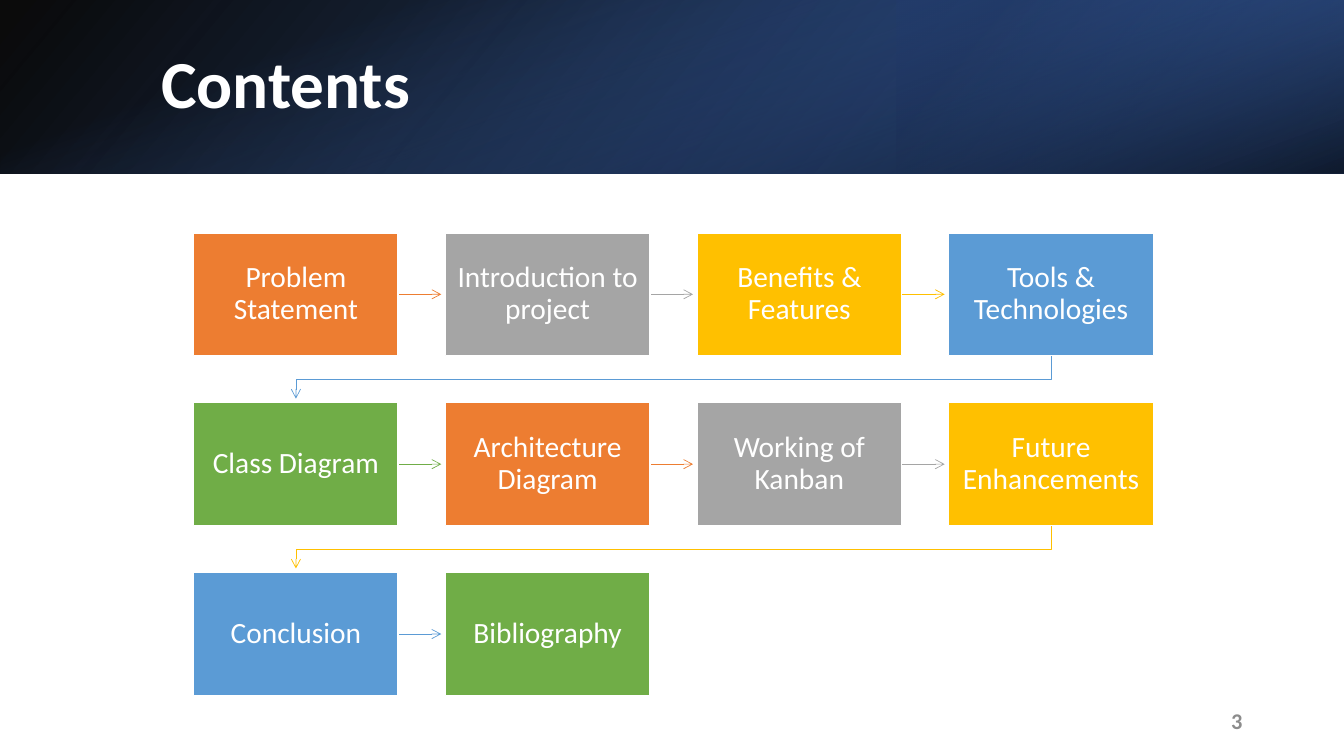
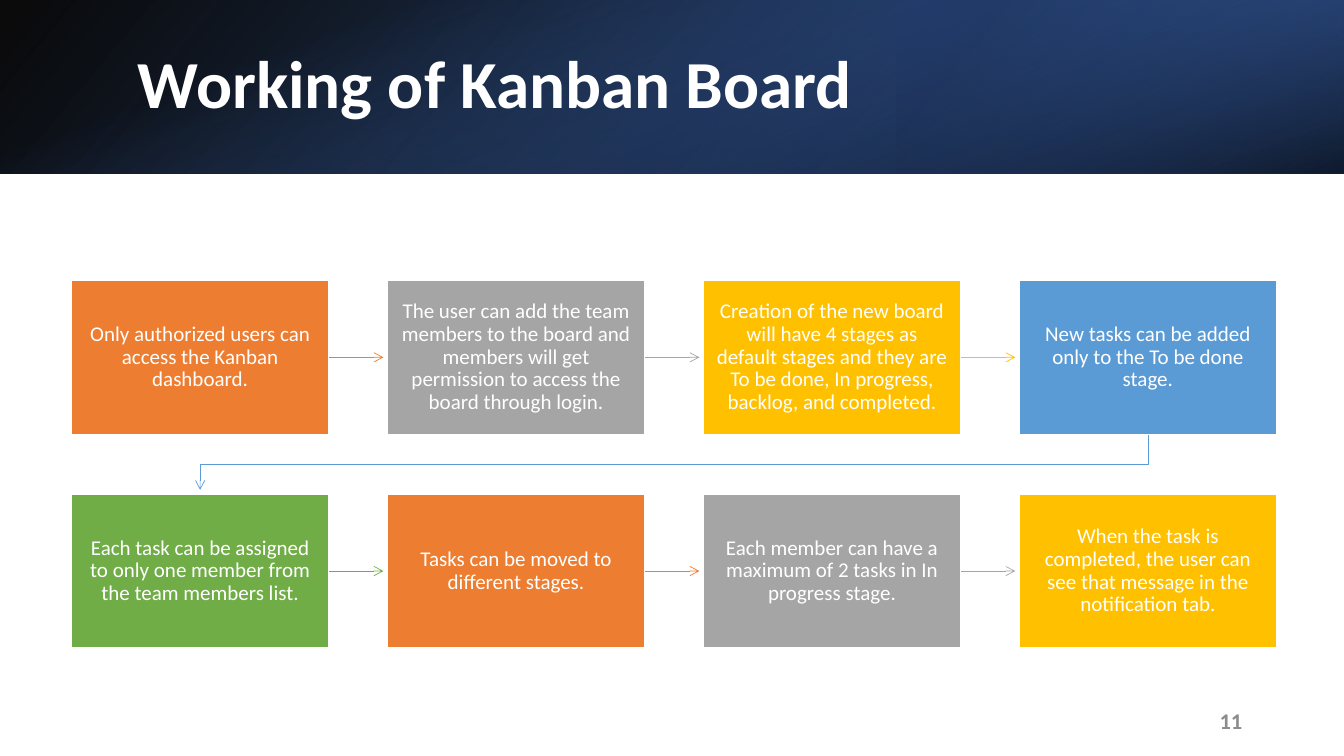
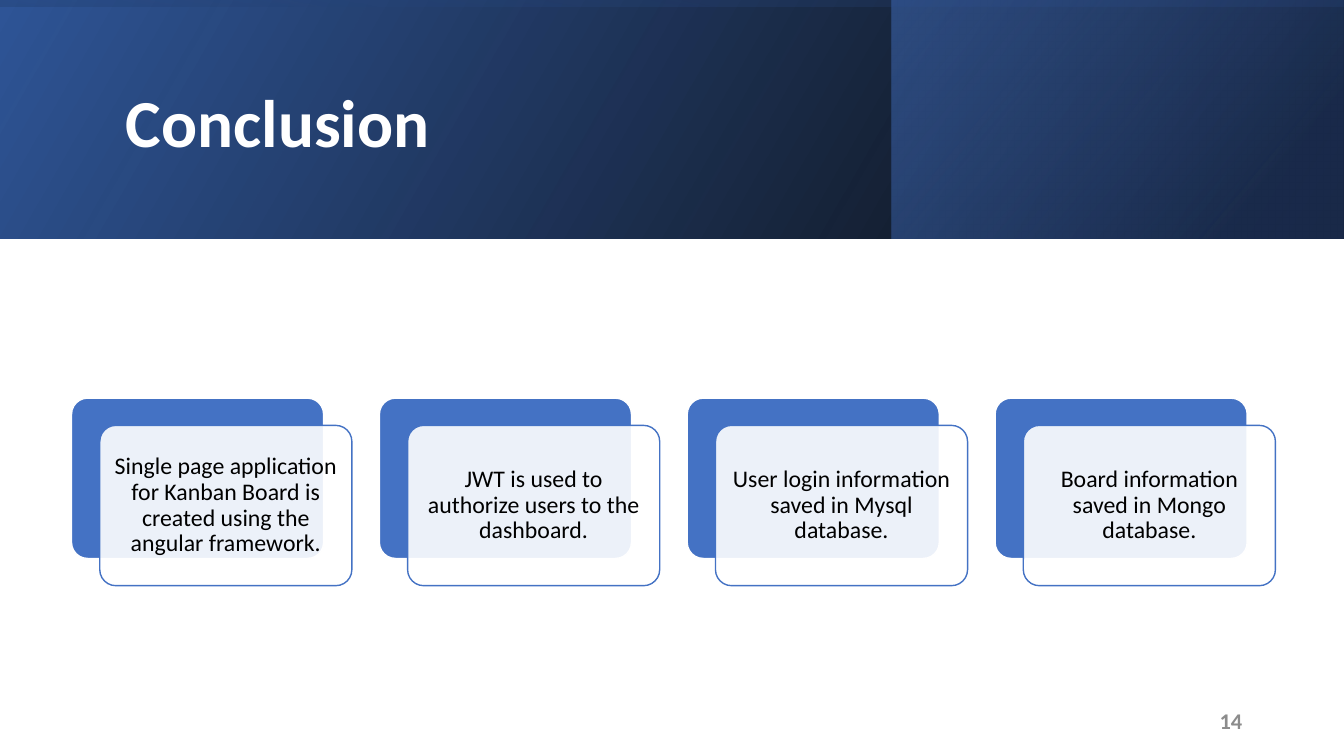
import lxml.etree
import pptx
import pptx.dml.color
import pptx.enum.shapes
import pptx.enum.text
import pptx.oxml.ns
import pptx.util

Inches = pptx.util.Inches
Shapes = pptx.enum.shapes.MSO_SHAPE
Align = pptx.enum.text.PP_ALIGN
qn = pptx.oxml.ns.qn

FONT = "Calibri"
WHITE, BLACK, GRAY = "FFFFFF", "000000", "8C8C8C"
NAVY, DEEP_BLUE, BLUE = "203864", "2F5597", "4472C4"
FLOW_COLORS = ["ED7D31", "A5A5A5", "FFC000", "5B9BD5", "70AD47"]

CONTENTS = [
    "Problem Statement", "Introduction to project", "Benefits & Features",
    "Tools & Technologies", "Class Diagram", "Architecture Diagram",
    "Working of Kanban", "Future Enhancements", "Conclusion", "Bibliography",
]
WORKING_STEPS = [
    "Only authorized users can access the Kanban dashboard.",
    "The user can add the team members to the board and members will get "
    "permission to access the board through login.",
    "Creation of the new board will have 4 stages as default stages and they "
    "are To be done, In progress, backlog, and completed.",
    "New tasks can be added only to the To be done stage.",
    "Each task can be assigned to only one member from the team members list.",
    "Tasks can be moved to different stages.",
    "Each member can have a maximum of 2 tasks in In progress stage.",
    "When the task is completed, the user can see that message in the "
    "notification tab.",
]
CONCLUSIONS = [
    "Single page application for Kanban Board is created using the angular "
    "framework.",
    "JWT is used to authorize users to the dashboard.",
    "User login information saved in Mysql database.",
    "Board information saved in Mongo database.",
]


def rgb(color):
    return pptx.dml.color.RGBColor.from_string(color)


def set_alpha(shape, opacities):
    """Set the opacity, in percent, of each colour in the fill, in order."""
    colors = shape.element.spPr.iter(qn("a:srgbClr"))
    for color, opacity in zip(colors, opacities):
        alpha = lxml.etree.SubElement(color, qn("a:alpha"))
        alpha.set("val", str(opacity * 1000))


def write(shape, text, size, color, align=Align.LEFT, bold=False,
          margins=(0.1, 0.05), line_spacing=0.9):
    frame = shape.text_frame
    frame.word_wrap = True
    frame.vertical_anchor = pptx.enum.text.MSO_ANCHOR.MIDDLE
    frame.margin_left = frame.margin_right = Inches(margins[0])
    frame.margin_top = frame.margin_bottom = Inches(margins[1])
    paragraph = frame.paragraphs[0]
    paragraph.text = text
    paragraph.alignment = align
    paragraph.line_spacing = line_spacing
    font = paragraph.font
    font.name, font.size, font.bold = FONT, pptx.util.Pt(size), bold
    font.color.rgb = rgb(color)


def add_box(slide, kind, left, top, width, height, fill, line):
    shape = slide.shapes.add_shape(
        kind, Inches(left), Inches(top), Inches(width), Inches(height))
    shape.shadow.inherit = False
    shape.fill.solid()
    shape.fill.fore_color.rgb = rgb(fill)
    shape.line.color.rgb = rgb(line)
    shape.line.width = pptx.util.Pt(1)
    return shape


def add_gradient(slide, box, stops, angle, rotation=0, flip=False):
    """Stops are (percent, colour, opacity); the angle runs clockwise."""
    left, top, width, height = box
    if rotation in (90, 270):
        left, top = left + (width - height) / 2, top + (height - width) / 2
        width, height = height, width
    shape = slide.shapes.add_shape(
        Shapes.RECTANGLE, Inches(left), Inches(top), Inches(width), Inches(height))
    shape.shadow.inherit = False
    shape.line.fill.background()
    shape.rotation = rotation
    if flip:
        shape.element.spPr.find(qn("a:xfrm")).set("flipH", "1")
    shape.fill.gradient()
    shape.fill.gradient_angle = 360 - angle
    for stop, (position, color, _) in zip(shape.fill.gradient_stops, stops):
        stop.color.rgb = rgb(color)
        stop.position = position / 100
    set_alpha(shape, [opacity for _, _, opacity in stops])


def add_band(slide):
    band = (0, 0, 13.33, 1.72)
    add_gradient(slide, band, [(0, BLACK, 96), (100, DEEP_BLUE, 100)], 140, flip=True)
    add_gradient(slide, (8.89, 0, 4.44, 1.72), [(19, NAVY, 68), (100, BLUE, 79)],
                 320, rotation=180, flip=True)
    add_gradient(slide, band, [(23, BLUE, 0), (99, BLACK, 74)], 340, rotation=90)


def add_tall_band(slide):
    band = (0, 0, 13.33, 2.37)
    add_gradient(slide, band, [(0, BLACK, 96), (100, DEEP_BLUE, 100)], 330, flip=True)
    add_gradient(slide, (8.84, 0, 4.48, 2.37), [(19, NAVY, 68), (100, BLUE, 48)],
                 320, flip=True)
    add_gradient(slide, band, [(23, DEEP_BLUE, 16), (99, BLACK, 45)], 350,
                 rotation=270, flip=True)


def add_text(slide, left, top, width, height, text, size, color, **style):
    box = slide.shapes.add_textbox(
        Inches(left), Inches(top), Inches(width), Inches(height))
    write(box, text, size, color, bold=True, **style)


def add_slide(presentation, draw_band, title, title_left, title_top, number):
    slide = presentation.slides.add_slide(presentation.slide_layouts[6])
    draw_band(slide)
    add_text(slide, title_left, title_top, 10.98, 0.96, title, 48, WHITE)
    add_text(slide, 9.42, 6.95, 3, 0.4, number, 16, GRAY,
             align=Align.RIGHT, line_spacing=1)
    return slide


def add_arrow(slide, points, color):
    """Draw a straight arrow through two points, or a bent one through more."""
    points = [(Inches(x), Inches(y)) for x, y in points]
    if len(points) == 2:
        arrow = slide.shapes.add_connector(
            pptx.enum.shapes.MSO_CONNECTOR.STRAIGHT, *points[0], *points[1])
        lxml.etree.SubElement(arrow.element.spPr, qn("a:effectLst"))
    else:
        builder = slide.shapes.build_freeform(*points[0])
        builder.add_line_segments(points[1:], close=False)
        arrow = builder.convert_to_shape()
        arrow.shadow.inherit = False
        arrow.fill.background()
    arrow.line.color.rgb = rgb(color)
    arrow.line.width = pptx.util.Pt(0.5)
    line = arrow.element.spPr.find(qn("a:ln"))
    lxml.etree.SubElement(line, qn("a:tailEnd")).set("type", "arrow")


def add_flow(slide, box, step_size, rows, steps, size, margins, columns=4):
    """Lay steps out row by row in the box, each with an arrow to the next."""
    left, top, width, height = box
    step_width, step_height = step_size
    gap_x = (width - columns * step_width) / (columns - 1)
    gap_y = (height - rows * step_height) / (rows - 1)
    for index, text in enumerate(steps):
        row, column = divmod(index, columns)
        x = left + column * (step_width + gap_x)
        y = top + row * (step_height + gap_y)
        color = FLOW_COLORS[index % len(FLOW_COLORS)]
        if index < len(steps) - 1:
            if column < columns - 1:
                right, middle = x + step_width, y + step_height / 2
                points = [(right, middle), (right + gap_x - 0.04, middle)]
            else:
                start, end = x + step_width / 2, left + step_width / 2
                bottom = y + step_height
                turn = bottom + gap_y / 2
                points = [(start, bottom), (start, turn), (end, turn),
                          (end, bottom + gap_y - 0.04)]
            add_arrow(slide, points, color)
        shape = add_box(slide, Shapes.RECTANGLE, x, y, step_width, step_height,
                        color, WHITE)
        write(shape, text, size, WHITE, Align.CENTER, margins=margins)


def add_cards(slide, left, top, width, texts):
    """Spread cards evenly, each a white sheet set off from a blue one."""
    card_width, card_height, shift_x, shift_y = 2.5, 1.59, 0.28, 0.27
    pitch = (width - card_width - shift_x) / (len(texts) - 1)
    for index, text in enumerate(texts):
        x = left + index * pitch
        back = add_box(slide, Shapes.ROUNDED_RECTANGLE, x, top,
                       card_width, card_height, BLUE, WHITE)
        front = add_box(slide, Shapes.ROUNDED_RECTANGLE, x + shift_x, top + shift_y,
                        card_width, card_height, WHITE, BLUE)
        back.adjustments[0] = front.adjustments[0] = 0.1
        set_alpha(front, [90])
        write(front, text, 17, BLACK, Align.CENTER, margins=(0.07, 0.07))


def main():
    presentation = pptx.Presentation()
    presentation.slide_width = Inches(13.33)
    presentation.slide_height = Inches(7.5)

    slide = add_slide(presentation, add_band, "Contents", 1.5, 0.38, "3")
    add_flow(slide, (1.92, 2.31, 9.52, 4.59), (2.03, 1.22), 3, CONTENTS, 21, (0.1, 0.1))

    slide = add_slide(presentation, add_band, "Working of Kanban Board", 1.27, 0.38, "11")
    add_flow(slide, (0.71, 2.78, 11.95, 3.65), (2.55, 1.53), 2, WORKING_STEPS, 15,
             (0.12, 0.13))

    slide = add_slide(presentation, add_tall_band, "Conclusion", 1.15, 0.77, "14")
    add_cards(slide, 0.71, 3.95, 11.94, CONCLUSIONS)

    presentation.save("out.pptx")


if __name__ == "__main__":
    main()
